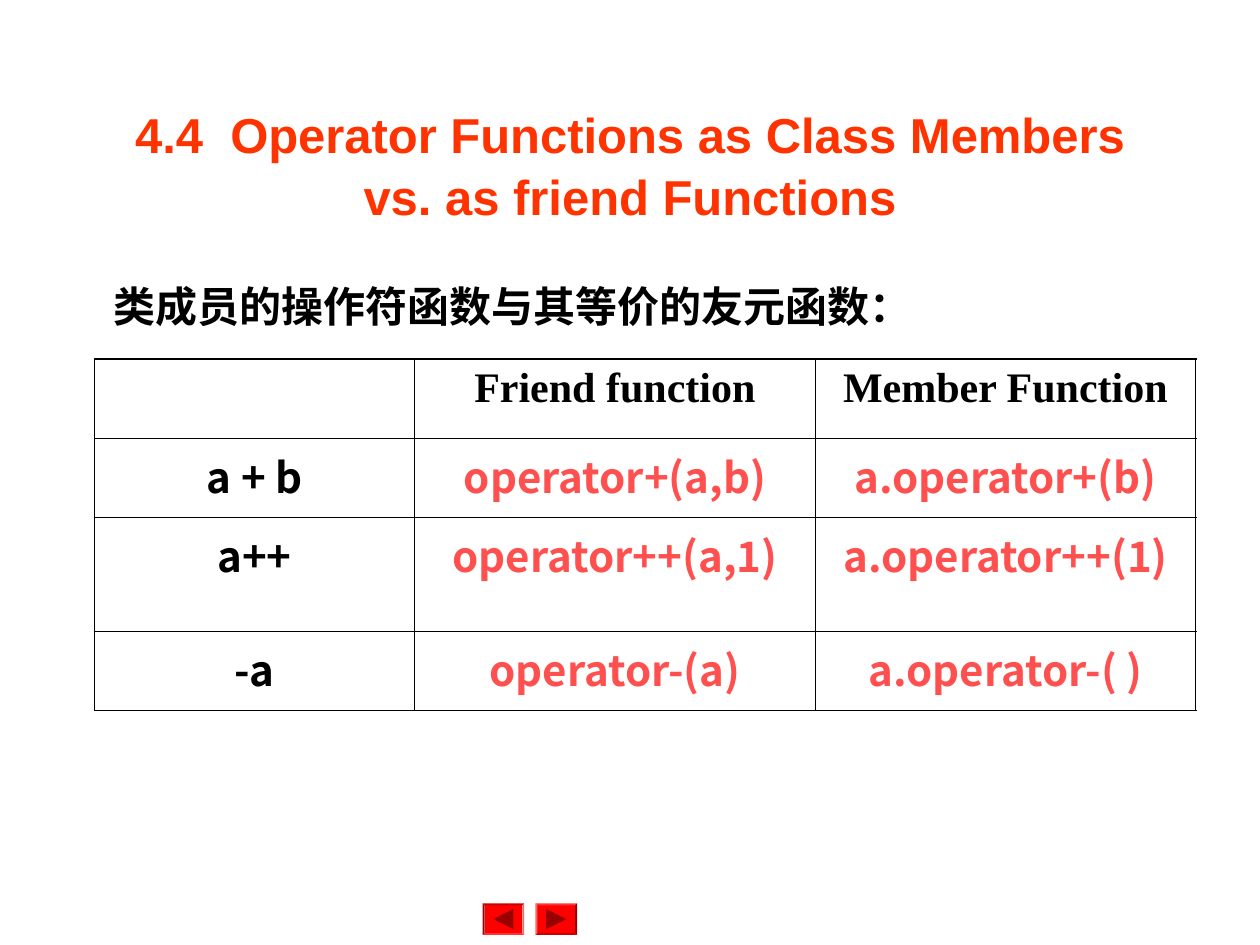
from lxml import etree
from pptx import Presentation
from pptx import util as u
from pptx.dml.color import RGBColor
from pptx.enum import shapes, text
from pptx.oxml.ns import qn

COLORS = {
    "title": "FF3300",
    "text": "000000",
    "call": "FF5050",
    "button": "FF0000",
    "arrow": "990000",
}
SANS, SERIF, CJK = "Arial", "Times New Roman", "Noto Sans CJK SC"

ROWS = [
    ["", "Friend function", "Member Function"],
    ["a + b", "operator+(a,b)", "a.operator+(b)"],
    ["a++", "operator++(a,1)", "a.operator++(1)"],
    ["-a", "operator-(a)", "a.operator-( )"],
]
COLUMN_WIDTHS = [2.54, 3.18, 3.02]
ROW_HEIGHTS = [0.63, 0.63, 0.9, 0.63]
OUTER_LINE, INNER_LINE = 1.08, 0.45


def box(*lengths):
    return [u.Inches(length) for length in lengths]


class SlideBuilder:
    """Holds the colours and the slide that is being filled."""

    def __init__(self, slide, colors):
        self.slide = slide
        self.colors = colors

    def color(self, name):
        return RGBColor.from_string(self.colors[name])

    def format_paragraph(self, paragraph, font, size, color, align):
        paragraph.alignment = align
        for run in paragraph.runs:
            run.font.name = font
            run.font.size = u.Pt(size)
            run.font.bold = True
            run.font.color.rgb = self.color(color)
            east_asian = etree.Element(qn("a:ea"), typeface=font)
            run.font._element.find(qn("a:latin")).addnext(east_asian)

    def title(self, wording, bounds):
        title = self.slide.shapes.title
        title.left, title.top, title.width, title.height = box(*bounds)
        frame = title.text_frame
        frame.text = wording
        frame.auto_size = text.MSO_AUTO_SIZE.NONE
        frame.vertical_anchor = text.MSO_ANCHOR.MIDDLE
        paragraph = frame.paragraphs[0]
        paragraph.line_spacing = 1.05
        self.format_paragraph(paragraph, SANS, 28, "title", text.PP_ALIGN.CENTER)

    def label(self, wording, bounds):
        frame = self.slide.shapes.add_textbox(*box(*bounds)).text_frame
        frame.text = wording
        frame.word_wrap = False
        self.format_paragraph(frame.paragraphs[0], CJK, 24, "text", text.PP_ALIGN.LEFT)

    def cell_borders(self, cell, widths):
        """Draw the left, right, top and bottom lines, widths in points."""
        properties = cell._tc.get_or_add_tcPr()
        for side, width in zip("LRTB", widths):
            line = etree.SubElement(properties, qn(f"a:ln{side}"), w=str(u.Pt(width)))
            fill = etree.SubElement(line, qn("a:solidFill"))
            etree.SubElement(fill, qn("a:srgbClr"), val=self.colors["text"])

    def table(self, rows, left, top, column_widths, row_heights):
        bounds = box(left, top, sum(column_widths), sum(row_heights))
        table = self.slide.shapes.add_table(len(rows), len(column_widths), *bounds).table
        table.first_row = table.horz_banding = False
        for column, width in zip(table.columns, column_widths):
            column.width = u.Inches(width)
        last_column = len(column_widths) - 1
        for r, (row, height) in enumerate(zip(rows, row_heights)):
            table.rows[r].height = u.Inches(height)
            for c, wording in enumerate(row):
                cell = table.cell(r, c)
                cell.text = wording
                font = CJK if r else SERIF
                color = "call" if r and c else "text"
                self.format_paragraph(cell.text_frame.paragraphs[0], font, 24,
                                      color, text.PP_ALIGN.CENTER)
                on_edge = [c == 0, c == last_column, r == 0, False]
                self.cell_borders(cell, [OUTER_LINE if edge else INNER_LINE
                                         for edge in on_edge])
                cell.fill.background()

    def paint(self, shape, color):
        shape.shadow.inherit = False
        shape.fill.solid()
        shape.fill.fore_color.rgb = self.color(color)
        shape.line.fill.background()

    def navigation_button(self, left, top, direction):
        """Bevelled button with an arrow; direction is 1 for next, -1 for previous."""
        width, height, arrow = 0.33, 0.25, 0.08
        button = self.slide.shapes.add_shape(shapes.MSO_SHAPE.BEVEL,
                                             *box(left, top, width, height))
        button.adjustments[0] = 0.06
        button.rotation = 0 if direction == 1 else 180
        self.paint(button, "button")
        x, y = left + width / 2, top + height / 2
        back, tip = x - direction * arrow, x + direction * arrow
        builder = self.slide.shapes.build_freeform(*box(back, y - arrow), scale=1.0)
        builder.add_line_segments([box(tip, y), box(back, y + arrow)], close=True)
        self.paint(builder.convert_to_shape(), "arrow")


def main():
    presentation = Presentation()
    presentation.slide_width, presentation.slide_height = box(10, 7.5)
    title_only = presentation.slide_layouts[5]
    builder = SlideBuilder(presentation.slides.add_slide(title_only), COLORS)

    builder.navigation_button(4.25, 7.17, 1)
    builder.navigation_button(3.83, 7.17, -1)
    builder.title("4.4  Operator Functions as Class Members vs. as friend Functions",
                  (0.75, 0.67, 8.5, 1.25))
    builder.table(ROWS, 0.75, 2.85, COLUMN_WIDTHS, ROW_HEIGHTS)
    builder.label("类成员的操作符函数与其等价的友元函数：", (0.8, 2.18, 6.53, 0.5))

    presentation.save("out.pptx")


if __name__ == "__main__":
    main()
